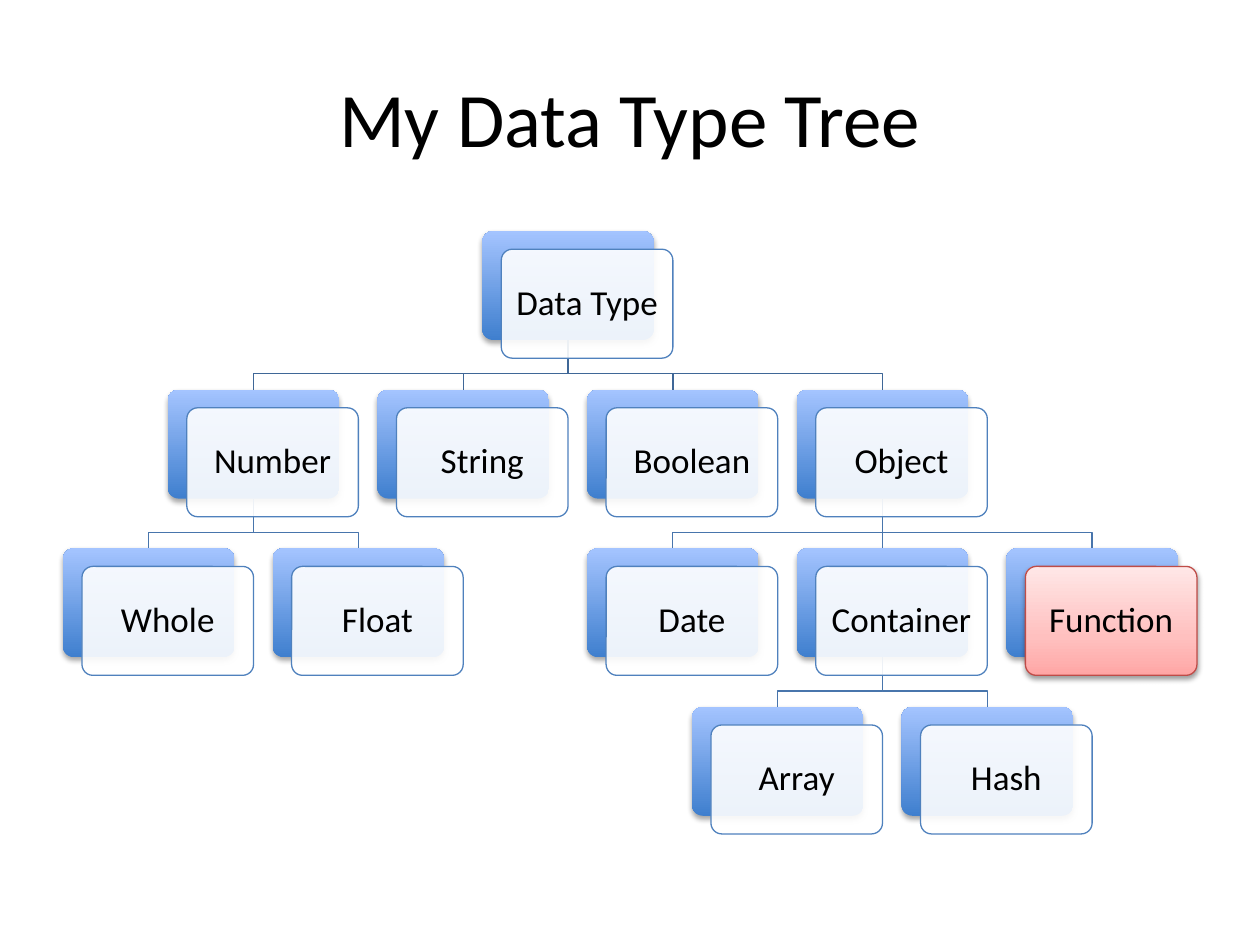
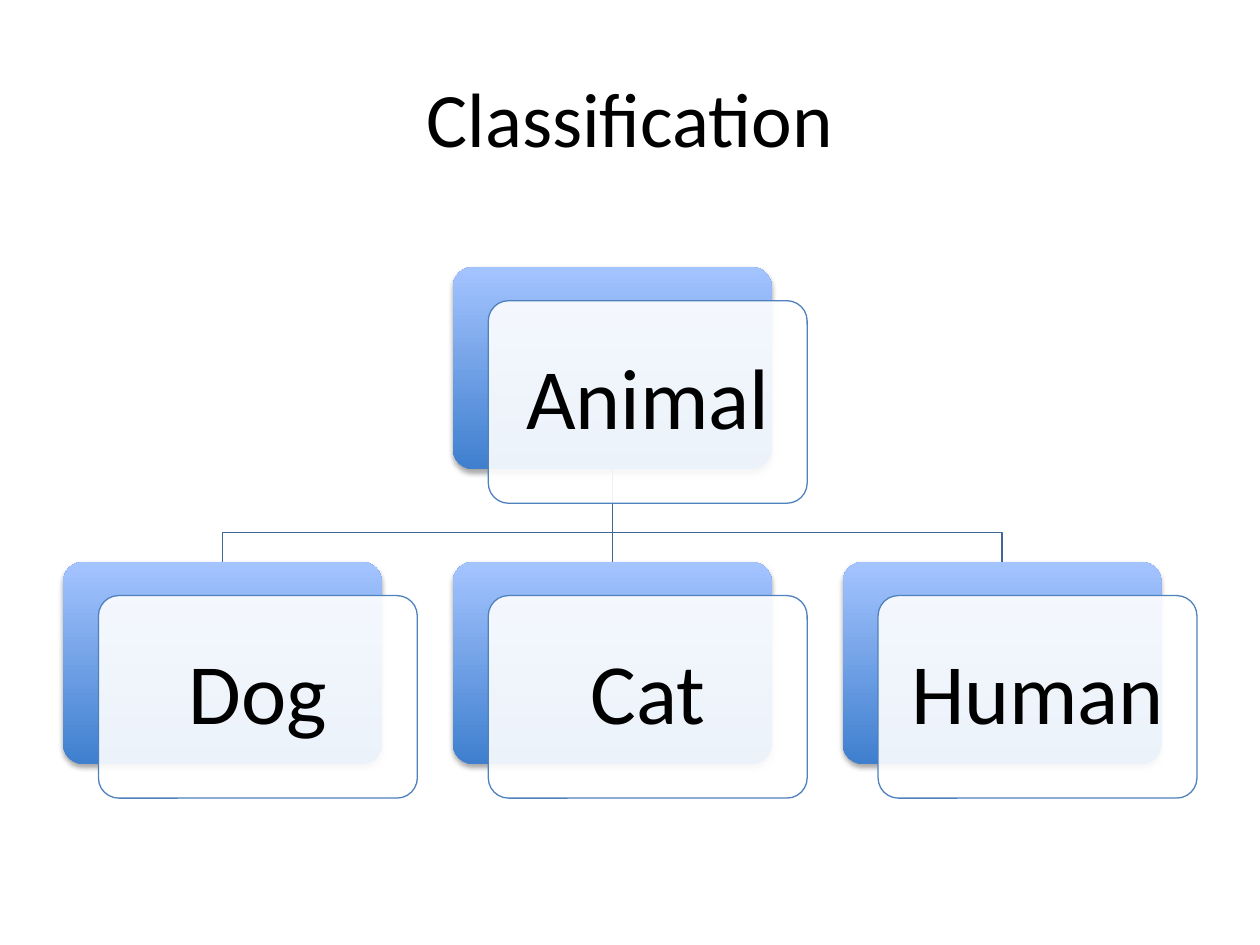
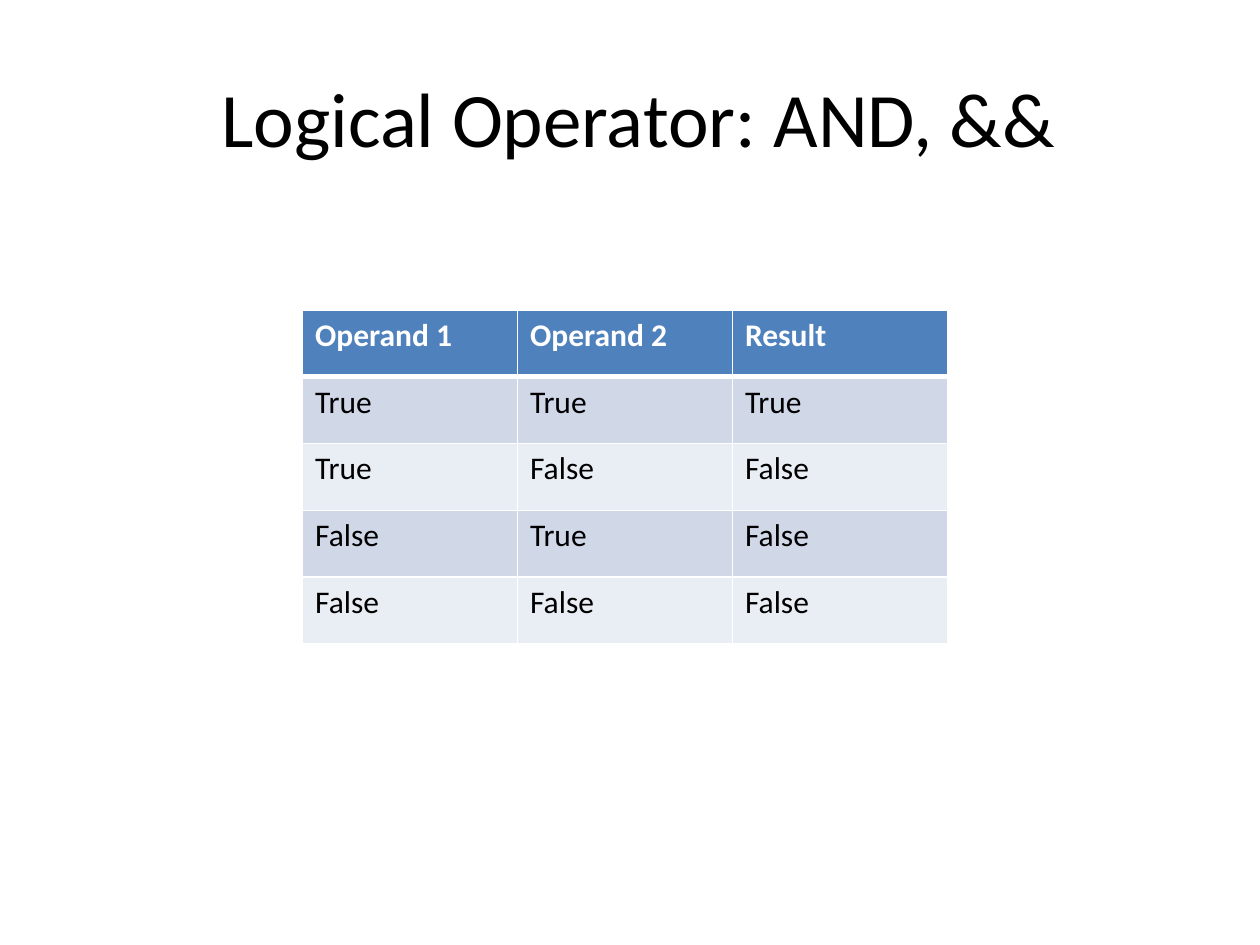
"""Build three slides: two hierarchy trees and a truth table."""
from dataclasses import dataclass

from lxml.etree import SubElement
from pptx import Presentation
from pptx.dml.color import RGBColor as RGB
from pptx.enum.shapes import MSO_CONNECTOR as LINK, MSO_SHAPE as SHAPE
from pptx.enum.text import MSO_ANCHOR as ANCHOR, PP_ALIGN as ALIGN
from pptx.oxml.ns import qn
from pptx.util import Cm, Pt

COLORS = {
    "text": "000000",
    "white": "FFFFFF",
    "accent": "4F81BD",
    "card_low": "3F7FCE",
    "card_high": "A4C4FF",
    "first_link": "3F6797",
    "deep_link": "4875AC",
    "alert_low": "FFA6A5",
    "alert_mid": "FFC0BF",
    "alert_high": "FFE7E7",
    "alert_line": "BF4C48",
    "odd_row": "D0D8E8",
    "even_row": "E9EDF4",
}
FONT = "Calibri"
TITLE_BOX = (Cm(1.27), Cm(0.76), Cm(22.86), Cm(3.18))
TREE_BOX = (Cm(1.27), Cm(4.45), Cm(22.86), Cm(12.57))
TABLE_BOX = (Cm(6.1), Cm(6.25), Cm(13), Cm(6.73))
CARD_RATIO = 0.635
SLOT_STEP = 11 / 18
LEVEL_STEP = 1.456
VEIL_RIGHT = 1 / 9
VEIL_DOWN = 1 / 6
BEND = 0.68


@dataclass
class Node:
    """One entry of a tree; a branch is centred over its children."""
    label: str
    place: int = 0
    children: tuple = ()
    alert: bool = False

    @property
    def slot(self):
        """Return the horizontal slot of the entry."""
        if not self.children:
            return self.place
        return (self.children[0].slot + self.children[-1].slot) / 2


DATA_TYPES = Node("Data Type", children=(
    Node("Number", children=(Node("Whole", 0), Node("Float", 2))),
    Node("String", 3),
    Node("Boolean", 5),
    Node("Object", children=(
        Node("Date", 5),
        Node("Container", children=(Node("Array", 6), Node("Hash", 8))),
        Node("Function", 9, alert=True),
    )),
))
ANIMALS = Node("Animal", children=(Node("Dog", 0), Node("Cat", 2), Node("Human", 4)))
AND_TABLE = (
    ("Operand 1", "Operand 2", "Result"),
    ("True", "True", "True"),
    ("True", "False", "False"),
    ("False", "True", "False"),
    ("False", "False", "False"),
)


def color(name):
    """Return the named colour."""
    return RGB.from_string(COLORS[name])


def write(frame, text, size, tint="text", bold=False, align=None, spacing=None):
    """Write one formatted paragraph into a text frame."""
    paragraph = frame.paragraphs[0]
    paragraph.alignment = align
    paragraph.line_spacing = spacing
    run = paragraph.add_run()
    run.text = text
    run.font.name, run.font.size, run.font.bold = FONT, Pt(size), bold
    run.font.color.rgb = color(tint)


def fill_gradient(shape, stops):
    """Fill a shape from bottom to top with (percent, colour) stops."""
    shape.fill.gradient()
    shape.fill.gradient_angle = 90
    stop_list = shape._element.spPr.find(f".//{qn('a:gsLst')}")
    for stop in list(stop_list):
        stop_list.remove(stop)
    for percent, name in stops:
        stop = SubElement(stop_list, qn("a:gs"), pos=str(percent * 1000))
        SubElement(stop, qn("a:srgbClr"), val=COLORS[name])


def cast_shadow(shape, opacity, distance):
    """Give a shape a soft shadow straight below it."""
    effects = shape._element.spPr.find(qn("a:effectLst"))
    shadow = SubElement(effects, qn("a:outerShdw"), blurRad=str(Pt(3.1)),
                        dist=str(Pt(distance)), dir="5400000", rotWithShape="0")
    tint = SubElement(shadow, qn("a:srgbClr"), val=COLORS["text"])
    SubElement(tint, qn("a:alpha"), val=str(opacity * 1000))


def draw_line(line, name):
    """Give an outline its colour and the common width."""
    line.color.rgb = color(name)
    line.width = Pt(0.75)


def add_panel(slide, left, top, width, height):
    """Add a plain rounded rectangle without effects."""
    panel = slide.shapes.add_shape(SHAPE.ROUNDED_RECTANGLE, left, top, width, height)
    panel.adjustments[0] = 0.1
    panel.shadow.inherit = False
    return panel


def add_card(slide, box):
    """Add the blue back card of a tree entry."""
    card = add_panel(slide, *box)
    fill_gradient(card, ((0, "card_low"), (100, "card_high")))
    card.line.fill.background()
    cast_shadow(card, 35, 1.8)
    return card


def add_veil(slide, card, node, size):
    """Add the labelled front panel, shifted from its card."""
    veil = add_panel(slide, card.left + int(card.width * VEIL_RIGHT),
                     card.top + int(card.height * VEIL_DOWN), card.width, card.height)
    if node.alert:
        fill_gradient(veil, ((0, "alert_low"), (35, "alert_mid"), (100, "alert_high")))
        cast_shadow(veil, 38, 1.6)
    else:
        veil.fill.solid()
        veil.fill.fore_color.rgb = color("white")
        tint = veil._element.spPr.find(f"{qn('a:solidFill')}/{qn('a:srgbClr')}")
        SubElement(tint, qn("a:alpha"), val="90000")
    draw_line(veil.line, "alert_line" if node.alert else "accent")
    frame = veil.text_frame
    frame.word_wrap = True
    frame.vertical_anchor = ANCHOR.MIDDLE
    frame.margin_left = frame.margin_right = Cm(size / 100)
    frame.margin_top = frame.margin_bottom = Cm(size / 100)
    write(frame, node.label, size, align=ALIGN.CENTER, spacing=0.9)


def add_link(slide, parent, child, name):
    """Link a parent card to a child card, bending if they are not in line."""
    start_x, end_x = (card.left + card.width // 2 for card in (parent, child))
    start_y, end_y = parent.top + parent.height, child.top
    if parent.left == child.left:
        link = slide.shapes.add_connector(LINK.STRAIGHT, start_x, start_y, end_x, end_y)
        link.begin_connect(parent, 2)
        link.end_connect(child, 0)
        SubElement(link._element.spPr, qn("a:effectLst"))
    else:
        bend_y = start_y + int((end_y - start_y) * BEND)
        outline = slide.shapes.build_freeform(start_x, start_y)
        outline.add_line_segments(
            ((start_x, bend_y), (end_x, bend_y), (end_x, end_y)), close=False)
        link = outline.convert_to_shape()
        link.fill.background()
        link.shadow.inherit = False
    draw_line(link.line, name)


def walk(node, level=0, parent=None):
    """Yield every entry with its level and the position of its parent."""
    yield node, level, parent
    for child in node.children:
        yield from walk(child, level + 1, node)


def add_tree(slide, root, box, size):
    """Draw a tree as wide as the box and centred in its height."""
    left, top, width, height = box
    entries = list(walk(root))
    last_slot = max(node.slot for node, _, _ in entries)
    last_level = max(level for _, level, _ in entries)
    card_width = width / (last_slot * SLOT_STEP + 1 + VEIL_RIGHT)
    card_height = card_width * CARD_RATIO
    top += (height - card_height * (last_level * LEVEL_STEP + 1 + VEIL_DOWN)) / 2
    cards = {
        node.label: add_card(slide, (
            int(left + node.slot * SLOT_STEP * card_width),
            int(top + level * LEVEL_STEP * card_height),
            int(card_width), int(card_height)))
        for node, level, _ in entries
    }
    for node, level, parent in entries:
        if parent:
            add_link(slide, cards[parent.label], cards[node.label],
                     "first_link" if level == 1 else "deep_link")
    for node, _, _ in entries:
        add_veil(slide, cards[node.label], node, size)


def add_borders(cell, top, bottom):
    """Draw white borders around a table cell."""
    properties = cell._tc.get_or_add_tcPr()
    for side, points in (("L", 1), ("R", 1), ("T", top), ("B", bottom)):
        edge = SubElement(properties, qn(f"a:ln{side}"), w=str(Pt(points)))
        SubElement(SubElement(edge, qn("a:solidFill")), qn("a:srgbClr"),
                   val=COLORS["white"])


def add_truth_table(slide, rows, box):
    """Add a table with a header row and alternating row fills."""
    table = slide.shapes.add_table(len(rows), len(rows[0]), *box).table
    for row, values in enumerate(rows):
        header = row == 0
        fill = "accent" if header else "odd_row" if row % 2 else "even_row"
        for column, value in enumerate(values):
            cell = table.cell(row, column)
            add_borders(cell, top=3 if row == 1 else 1, bottom=3 if header else 1)
            cell.fill.solid()
            cell.fill.fore_color.rgb = color(fill)
            write(cell.text_frame, value, 18, bold=header,
                  tint="white" if header else "text")


def add_titled_slide(deck, title):
    """Add a blank slide with the shared title style."""
    slide = deck.slides.add_slide(deck.slide_layouts[6])
    frame = slide.shapes.add_textbox(*TITLE_BOX).text_frame
    frame.word_wrap = True
    frame.vertical_anchor = ANCHOR.MIDDLE
    write(frame, title, 44, align=ALIGN.CENTER)
    return slide


def main():
    """Build and save the deck."""
    deck = Presentation()
    deck.slide_width, deck.slide_height = Cm(25.4), Cm(19.05)
    add_tree(add_titled_slide(deck, "My Data Type Tree"), DATA_TYPES, TREE_BOX, 20)
    add_tree(add_titled_slide(deck, "Classification"), ANIMALS, TREE_BOX, 49)
    add_truth_table(add_titled_slide(deck, " Logical Operator: AND, &&"),
                    AND_TABLE, TABLE_BOX)
    deck.save("out.pptx")


if __name__ == "__main__":
    main()
